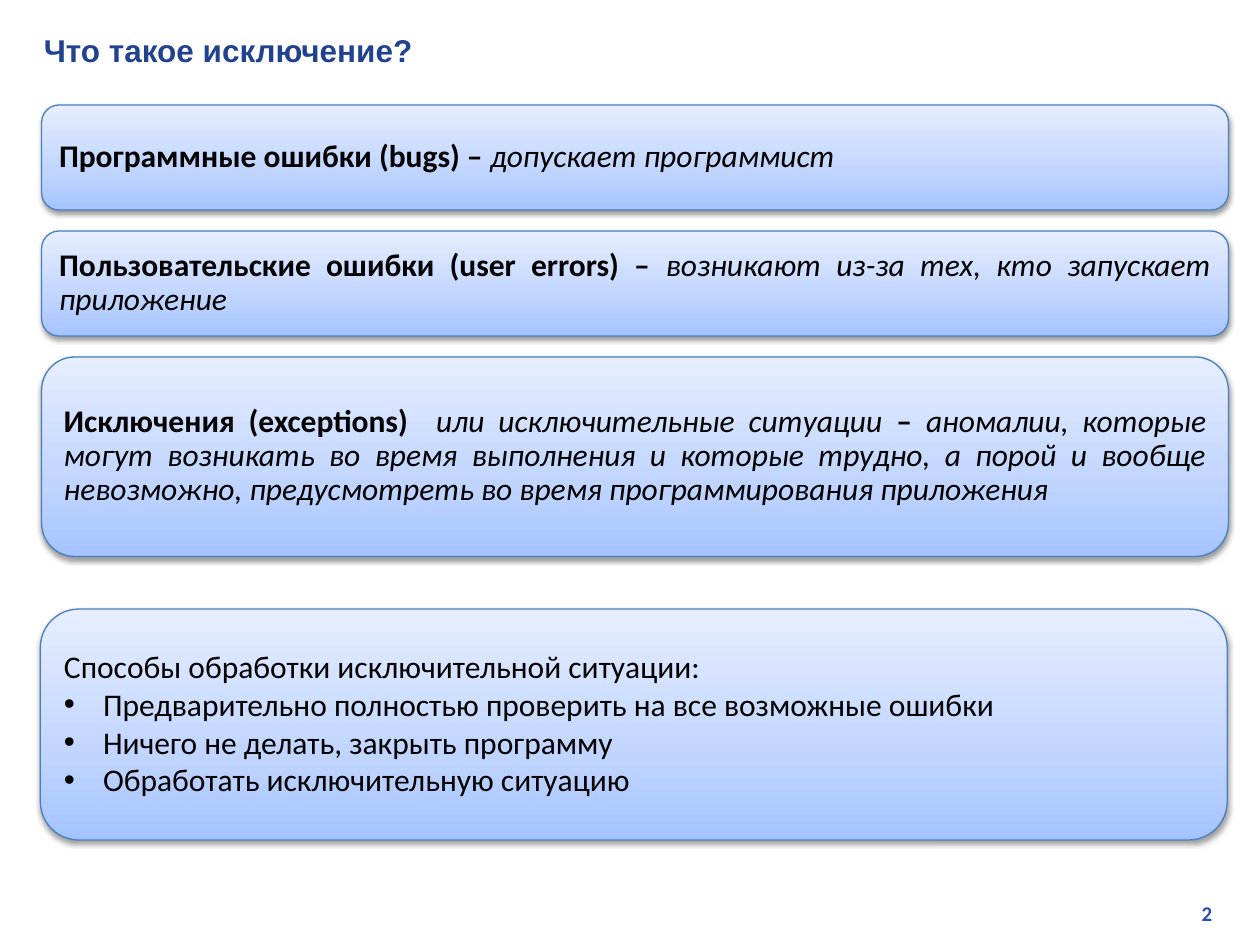
from lxml.etree import SubElement
from pptx import Presentation
from pptx.dml.color import RGBColor
from pptx.enum.shapes import MSO_SHAPE
from pptx.enum.text import MSO_ANCHOR, PP_ALIGN
from pptx.oxml.ns import qn
from pptx.util import Inches, Pt

GRADIENT = [(0, "A4C4FF"), (35, "BFD4FF"), (100, "E6EEFF")]
ROW = 1 / 6          # vertical grid step, inches
PANEL_LEFT, PANEL_WIDTH = 0.33, 9.42
BULLET_INDENT = 0.31

# Left edge, first grid row, height in rows, paragraphs of (text, style) runs
DEFINITIONS = [
    (5, 5, [("Программные ошибки (bugs) – ", "bold"),
            ("допускает программист", "italic")]),
    (11, 5, [("Пользовательские ошибки (user errors) – ", "bold"),
             ("возникают из-за тех, кто запускает приложение", "italic")]),
    (17, 9.5, [("Исключения (exceptions)  ", "bold"),
               ("или исключительные ситуации ", "italic"),
               ("– ", "bold"),
               ("аномалии, которые могут возникать во время выполнения "
                "и которые трудно, а порой и вообще невозможно, "
                "предусмотреть во время программирования приложения",
                "italic")]),
]
HANDLING_WAYS = [
    "Предварительно полностью проверить на все возможные ошибки",
    "Ничего не делать, закрыть программу",
    "Обработать исключительную ситуацию",
]


def colour(value):
    return RGBColor.from_string(value)


def add_run(paragraph, text, size=18, face="Calibri", ink="000000",
            bold=False, italic=False):
    run = paragraph.add_run()
    run.text = text
    font = run.font
    font.size, font.name = Pt(size), face
    font.bold, font.italic = bold, italic
    font.color.rgb = colour(ink)


def add_label(slide, box, text, align=PP_ALIGN.LEFT, **style):
    frame = slide.shapes.add_textbox(*map(Inches, box)).text_frame
    frame.word_wrap = True
    frame.vertical_anchor = MSO_ANCHOR.MIDDLE
    frame.paragraphs[0].alignment = align
    add_run(frame.paragraphs[0], text, **style)


def set_gradient(shape):
    """Three stops, running from the bottom edge to the top."""
    shape.fill.gradient()
    shape.fill.gradient_angle = 90
    stops = shape.element.spPr.find(".//" + qn("a:gsLst"))
    for old in list(stops):
        stops.remove(old)
    for position, value in GRADIENT:
        stop = SubElement(stops, qn("a:gs"), pos=str(position * 1000))
        SubElement(stop, qn("a:srgbClr"), val=value)


def set_shadow(shape):
    shape.shadow.inherit = False
    effects = shape.element.spPr.find(qn("a:effectLst"))
    outer = SubElement(effects, qn("a:outerShdw"), blurRad=str(Pt(3.1)),
                       dist=str(Pt(1.6)), dir="5400000", rotWithShape="0")
    black = SubElement(outer, qn("a:srgbClr"), val="000000")
    SubElement(black, qn("a:alpha"), val="38000")


def add_panel(slide, first_row, rows, left=PANEL_LEFT):
    """Draw a rounded panel and return its text frame."""
    box = (left, first_row * ROW, PANEL_WIDTH, rows * ROW)
    panel = slide.shapes.add_shape(MSO_SHAPE.ROUNDED_RECTANGLE,
                                   *map(Inches, box))
    set_gradient(panel)
    panel.line.color.rgb = colour("4B7EBC")
    panel.line.width = Pt(0.75)
    set_shadow(panel)
    frame = panel.text_frame
    frame.word_wrap = True
    frame.vertical_anchor = MSO_ANCHOR.MIDDLE
    return frame


def fill_statement(paragraph, runs):
    tabs = SubElement(paragraph._p.get_or_add_pPr(), qn("a:tabLst"))
    SubElement(tabs, qn("a:tab"), pos=str(Inches(0.5)), algn="l")
    paragraph.alignment = PP_ALIGN.JUSTIFY
    paragraph.line_spacing = 0.9
    for text, style in runs:
        add_run(paragraph, text, bold=style == "bold",
                italic=style == "italic")


def add_bullet(frame, text):
    paragraph = frame.add_paragraph()
    paragraph.alignment = PP_ALIGN.LEFT
    properties = paragraph._p.get_or_add_pPr()
    properties.set("marL", str(Inches(BULLET_INDENT)))
    properties.set("indent", str(-Inches(BULLET_INDENT)))
    SubElement(properties, qn("a:buFont"), typeface="Arial")
    SubElement(properties, qn("a:buChar"), char="•")
    add_run(paragraph, text)


def main():
    deck = Presentation()
    deck.slide_width, deck.slide_height = Inches(10), Inches(7.5)
    slide = deck.slides.add_slide(deck.slide_layouts[6])

    # Slide number and title
    add_label(slide, (7.6, 7.1, 2.12, 0.3), "2", align=PP_ALIGN.RIGHT,
              size=12, ink="2750AB", bold=True)
    add_label(slide, (0.25, 0.2, 9.54, 0.4), "Что такое исключение?",
              face="Arial", ink="21438F", bold=True)

    # Kinds of errors
    for first_row, rows, runs in DEFINITIONS:
        fill_statement(add_panel(slide, first_row, rows).paragraphs[0], runs)

    # Ways to handle an exception
    handling = add_panel(slide, 29, 11, left=0.32)
    fill_statement(handling.paragraphs[0],
                   [("Способы обработки исключительной ситуации:", "plain")])
    for way in HANDLING_WAYS:
        add_bullet(handling, way)

    deck.save("out.pptx")


if __name__ == "__main__":
    main()
